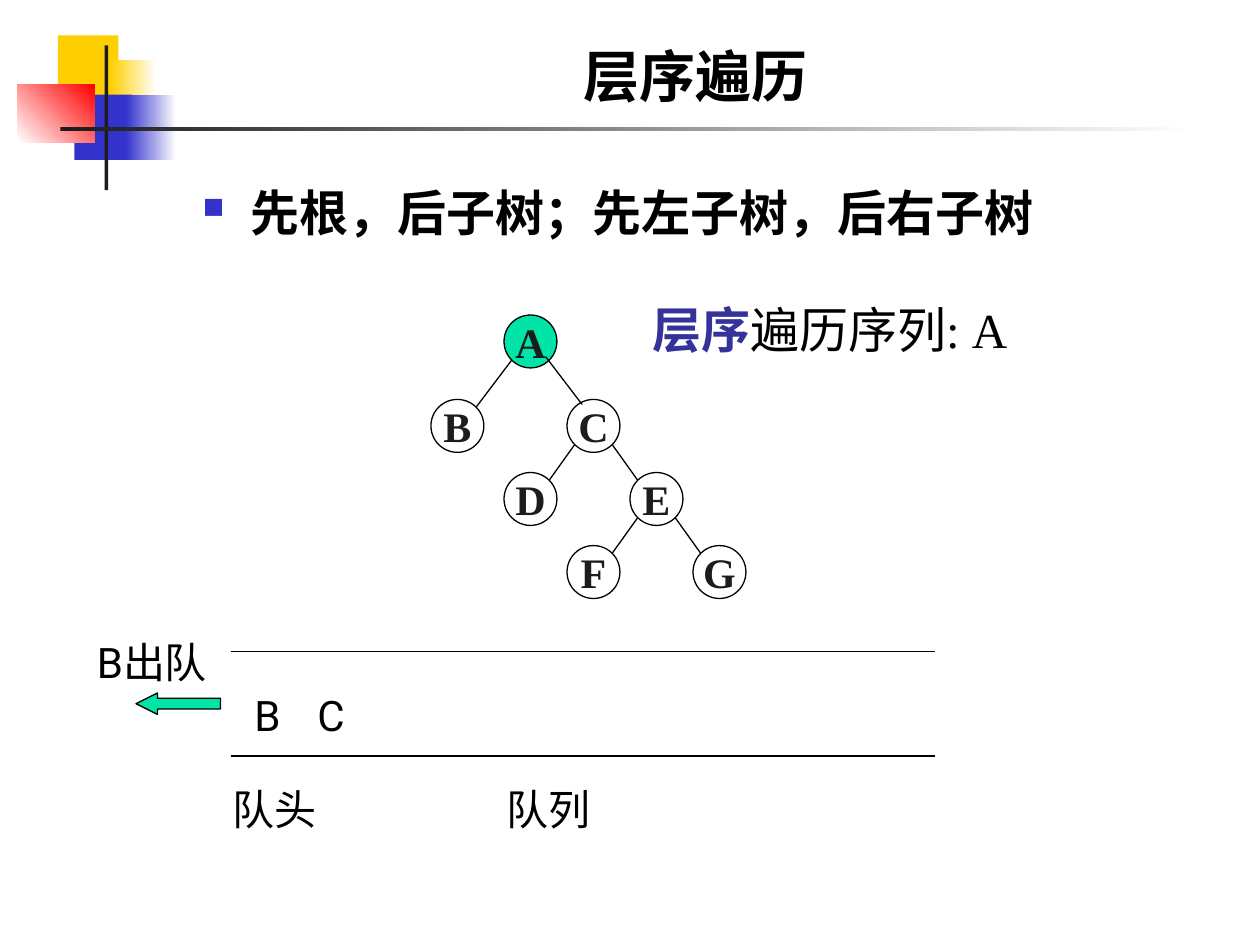
"""Build the slide on level-order traversal of a binary tree with its queue."""

import dataclasses
import typing

import lxml.etree
import pptx
import pptx.dml.color
import pptx.enum.dml
import pptx.enum.shapes
import pptx.enum.text
import pptx.oxml.ns
import pptx.util

Inches = pptx.util.Inches
Pt = pptx.util.Pt
Shape = pptx.enum.shapes.MSO_SHAPE
Anchor = pptx.enum.text.MSO_ANCHOR
Align = pptx.enum.text.PP_ALIGN
Point = tuple[float, float]
Bounds = tuple[float, float, float, float]


@dataclasses.dataclass(frozen=True)
class Theme:
    sans: str = "Roboto"
    serif: str = "Times New Roman"
    black: str = "000000"
    ink: str = "1C1C1C"
    white: str = "FFFFFF"
    yellow: str = "FFCF01"
    blue: str = "3333CC"
    red: str = "FF0000"
    accent: str = "333399"
    visited: str = "00E4A8"
    title_size: float = 32
    body_size: float = 28
    label_size: float = 24
    line_width: float = 0.75


THEME = Theme()


@dataclasses.dataclass(frozen=True)
class Block:
    bounds: Bounds
    color: str
    end_color: str | None = None
    angle: float = 0


@dataclasses.dataclass(frozen=True)
class Node:
    left: float
    top: float
    parent: str | None = None
    fill: str | None = None


@dataclasses.dataclass(frozen=True)
class Label:
    text: str
    bounds: Bounds


BLOCKS = [
    Block((0.46, 0.28, 0.48, 0.52), THEME.yellow),
    Block((0.88, 0.48, 0.36, 0.52), THEME.yellow, THEME.white),
    Block((0.59, 0.75, 0.46, 0.52), THEME.blue),
    Block((1, 0.75, 0.4, 0.52), THEME.blue, THEME.white),
    Block((0.14, 0.67, 0.61, 0.46), THEME.white, THEME.red, 45),
    Block((0.83, 0.36, 0.03, 1.15), THEME.ink),
    Block((0.48, 1.01, 9, 0.03), THEME.ink, THEME.white),
]
NODE_SIZE = 0.42
NODES = {
    "A": Node(4, 2.5, fill=THEME.visited),
    "B": Node(3.42, 3.17, "A"),
    "C": Node(4.5, 3.17),
    "D": Node(4, 3.75, "C"),
    "E": Node(5, 3.75, "C"),
    "F": Node(4.5, 4.33, "E"),
    "G": Node(5.5, 4.33, "E"),
}
RIGHT_ROOT_EDGE = ((4.33, 2.83), (4.62, 3.21))
QUEUE_RAILS = [((1.83, y), (7.42, y)) for y in (5.17, 6)]
LABELS = [
    Label("队列", (3.92, 6.17, 0.92, 0.5)),
    Label("队头", (1.75, 6.17, 1.08, 0.5)),
    Label("B", (1.92, 5.42, 0.42, 0.5)),
    Label("C", (2.42, 5.42, 0.42, 0.5)),
    Label("B出队", (0.67, 5, 1.08, 0.9)),
]


def rgb(color: str) -> pptx.dml.color.RGBColor:
    return pptx.dml.color.RGBColor.from_string(color)


def add_span(para: typing.Any, text: str, *, size: float, font: str = THEME.sans,
             color: str = THEME.black, bold: bool = False) -> None:
    span = para.add_run()
    span.text = text
    span.font.size = Pt(size)
    span.font.name = font
    span.font.bold = bold
    span.font.color.rgb = rgb(color)


def add_text(page: typing.Any, bounds: Bounds, text: str, *, size: float = THEME.label_size,
             anchor: Anchor = Anchor.TOP, align: Align = Align.LEFT, **style: typing.Any) -> typing.Any:
    box = page.shapes.add_textbox(*map(Inches, bounds))
    box.text_frame.word_wrap = True
    box.text_frame.vertical_anchor = anchor
    para = box.text_frame.paragraphs[0]
    para.alignment = align
    add_span(para, text, size=size, **style)
    return para


def add_bullet(para: typing.Any) -> None:
    properties = para._p.get_or_add_pPr()
    properties.set("marL", str(Inches(0.38)))
    properties.set("indent", str(Inches(-0.38)))
    qualify = pptx.oxml.ns.qn
    color = lxml.etree.SubElement(properties, qualify("a:buClr"))
    lxml.etree.SubElement(color, qualify("a:srgbClr"), val=THEME.blue)
    lxml.etree.SubElement(properties, qualify("a:buSzPct"), val="60000")
    lxml.etree.SubElement(properties, qualify("a:buChar"), char="■")


def add_figure(page: typing.Any, kind: Shape, bounds: Bounds, fill: str | None,
               outlined: bool = True) -> typing.Any:
    figure = page.shapes.add_shape(kind, *map(Inches, bounds))
    figure.shadow.inherit = False
    if fill:
        figure.fill.solid()
        figure.fill.fore_color.rgb = rgb(fill)
    else:
        figure.fill.background()
    if outlined:
        figure.line.color.rgb = rgb(THEME.black)
        figure.line.width = Pt(THEME.line_width)
    else:
        figure.line.fill.background()
    return figure


def add_block(page: typing.Any, block: Block) -> None:
    figure = add_figure(page, Shape.RECTANGLE, block.bounds, block.color, outlined=False)
    if block.end_color:
        figure.fill.gradient()
        figure.fill.gradient_angle = block.angle
        for stop, color, position in zip(figure.fill.gradient_stops, (block.color, block.end_color), (0, 1)):
            stop.color.rgb = rgb(color)
            stop.position = position


def add_line(page: typing.Any, start: Point, end: Point) -> None:
    line = page.shapes.add_connector(pptx.enum.shapes.MSO_CONNECTOR.STRAIGHT, *map(Inches, start + end))
    line.line.color.rgb = rgb(THEME.black)
    line.line.width = Pt(THEME.line_width)
    lxml.etree.SubElement(line._element.spPr, pptx.oxml.ns.qn("a:effectLst"))


def add_node(page: typing.Any, name: str, node: Node) -> None:
    figure = add_figure(page, Shape.OVAL, (node.left, node.top, NODE_SIZE, NODE_SIZE), node.fill)
    figure.text_frame.word_wrap = False
    figure.text_frame.vertical_anchor = Anchor.MIDDLE
    para = figure.text_frame.paragraphs[0]
    para.alignment = Align.CENTER
    add_span(para, name, size=THEME.label_size, font=THEME.serif, color=THEME.ink, bold=True)


def add_edge(page: typing.Any, parent: Node, child: Node) -> None:
    radius, reach = NODE_SIZE / 2, 0.15
    side = reach if child.left > parent.left else -reach
    add_line(page, (parent.left + radius + side, parent.top + radius + reach),
             (child.left + radius - side, child.top + radius - reach))


def main() -> None:
    deck = pptx.Presentation()
    deck.slide_width, deck.slide_height = Inches(10), Inches(7.5)
    page = deck.slides.add_slide(deck.slide_layouts[6])
    for block in BLOCKS:
        add_block(page, block)
    add_text(page, (1.26, 0.23, 8.52, 0.68), "层序遍历", size=THEME.title_size, bold=True,
             anchor=Anchor.BOTTOM, align=Align.CENTER)
    add_bullet(add_text(page, (1.51, 1.4, 8.28, 0.63), "先根，后子树；先左子树，后右子树",
                        size=THEME.body_size, bold=True))
    for name, node in NODES.items():
        add_node(page, name, node)
        if node.parent:
            add_edge(page, NODES[node.parent], node)
    for start, end in [RIGHT_ROOT_EDGE, *QUEUE_RAILS]:
        add_line(page, start, end)
    arrow = add_figure(page, Shape.LEFT_ARROW, (1.08, 5.5, 0.67, 0.17), THEME.visited)
    arrow.adjustments[1] = 1
    for label in LABELS:
        add_text(page, label.bounds, label.text)
    sequence = add_text(page, (5.08, 2.33, 4.58, 0.57), "层序", size=THEME.body_size,
                        font=THEME.serif, color=THEME.accent, bold=True)
    add_span(sequence, "遍历序列: A", size=THEME.body_size, font=THEME.serif)
    deck.save("out.pptx")


if __name__ == "__main__":
    main()
